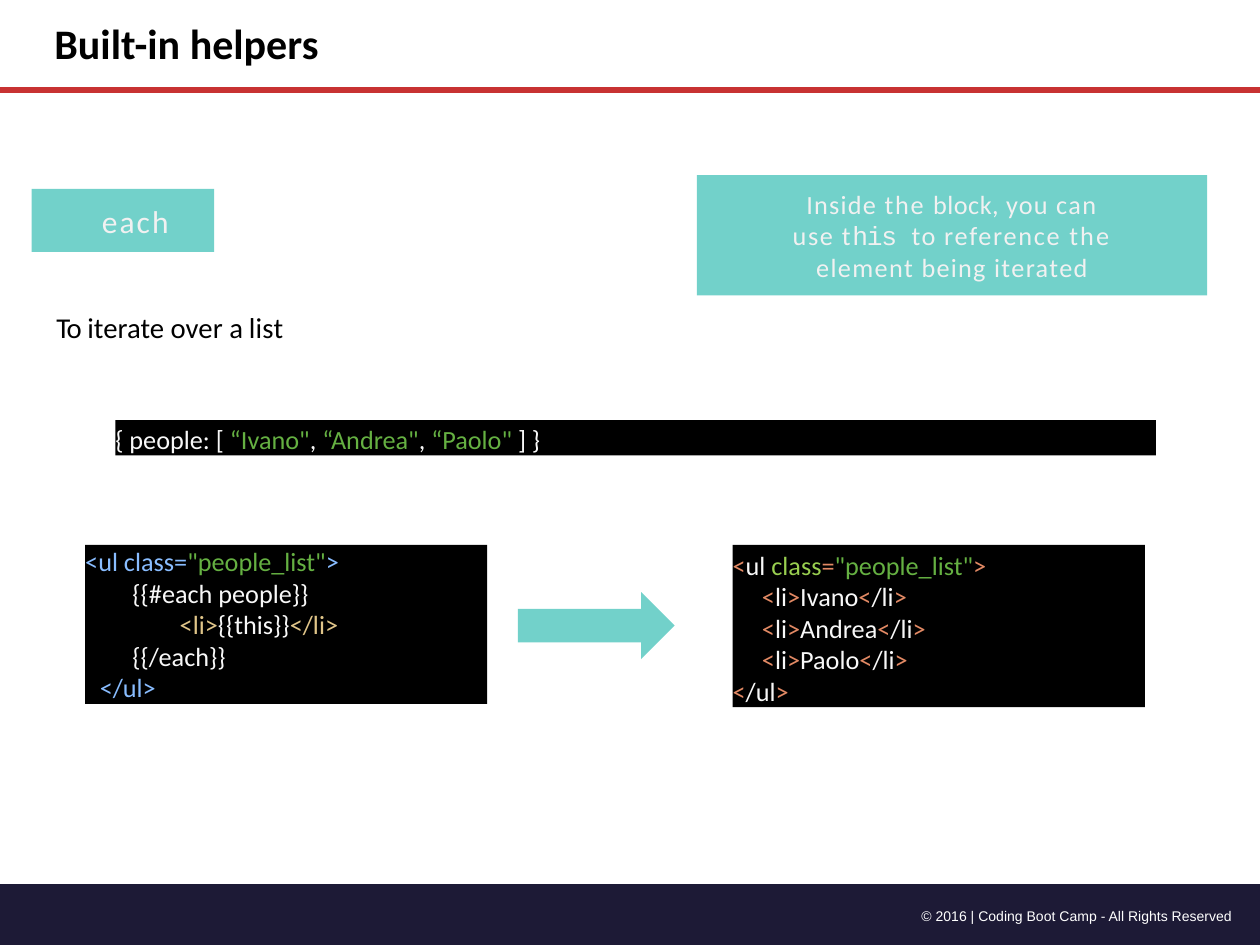
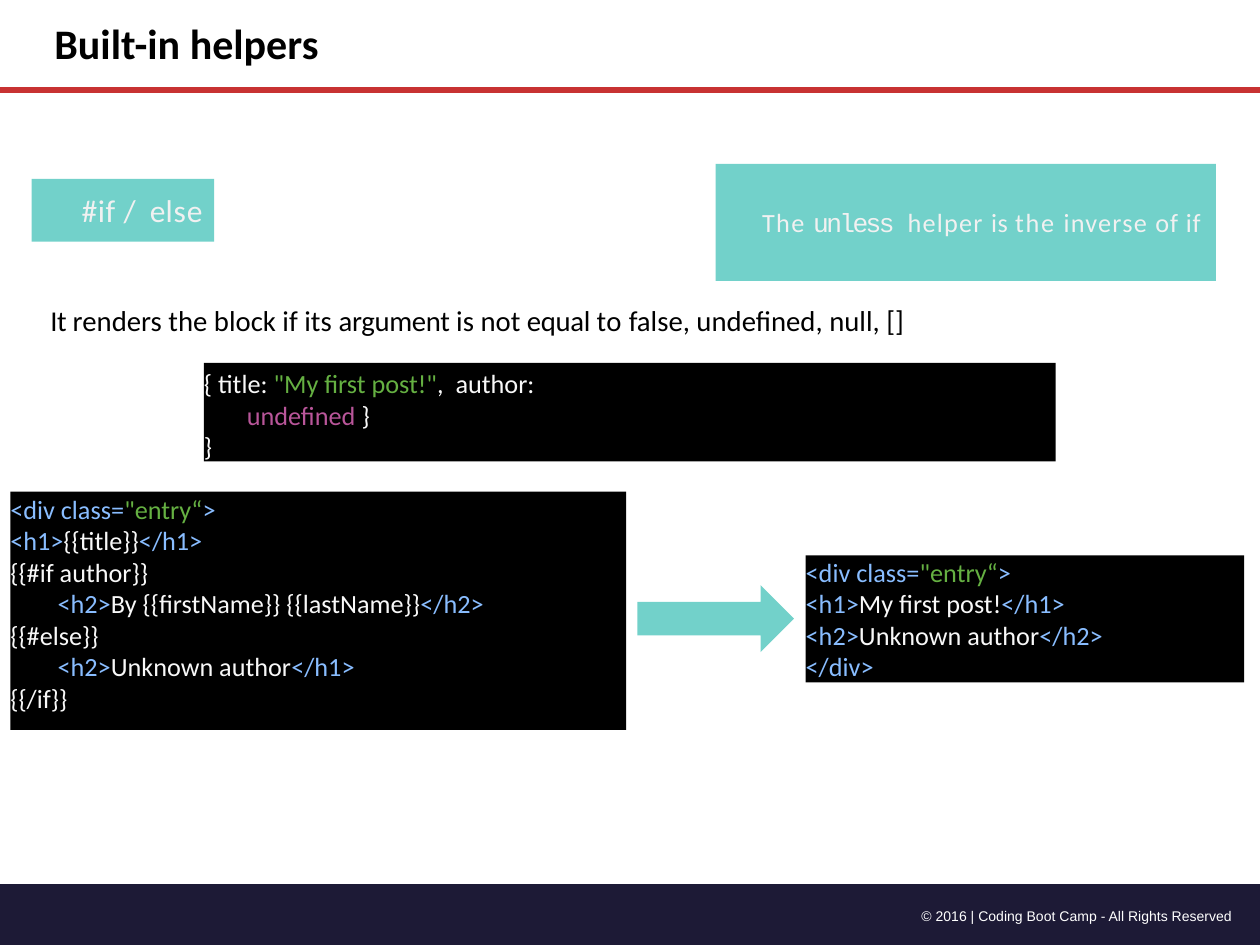
from dataclasses import dataclass
from typing import NamedTuple

from lxml.etree import SubElement
from pptx import Presentation
from pptx.dml.color import RGBColor
from pptx.enum.shapes import MSO_CONNECTOR as Connector, MSO_SHAPE as Preset
from pptx.enum.text import MSO_ANCHOR as Anchor, PP_ALIGN as Align
from pptx.oxml.ns import qn
from pptx.util import Pt

COLORS = {
    "black": "000000",
    "white": "FFFFFF",
    "navy": "1D1A36",
    "red": "C83232",
    "teal": "72D1CA",
    "pale": "F1F1F1",
    "plain": "F8F8F8",
    "blue": "89BDFF",
    "green": "65B042",
    "gold": "E0C589",
    "orange": "E28964",
    "lime": "99CF50",
    "purple": "B9569A",
}
WIDTH, HEIGHT = 720, 540
BAND_TOP = 505.4
RULE_TOP = 51.6
CODE_LEADING = 18
INSET = 7.2
MONO = "Courier New"


class Area(NamedTuple):
    left: float
    top: float
    width: float
    height: float

    def lengths(self) -> list:
        return [Pt(value) for value in self]


class Span(NamedTuple):
    text: str
    color: str = "plain"
    spacing: float = 0
    font: str = "Calibri"


@dataclass
class Line:
    spans: list[Span]
    indent: float = 0
    right_indent: float = 0
    align: Align = Align.LEFT
    leading: float | None = None


@dataclass
class Code:
    """A black panel with highlighted lines that start `drop` below its top."""
    panel: Area
    lines: list[Line]
    drop: float = 0


@dataclass
class Helper:
    badge: Area
    badge_line: Line
    note: Area
    note_line: Line
    summary: Area
    summary_line: Line
    arrow: Area
    blocks: list[Code]


def color(name: str) -> RGBColor:
    return RGBColor.from_string(COLORS[name])


def spaced(shade: str, *pieces: tuple) -> list[Span]:
    """Spans of one colour, each given as text, letter spacing and maybe a font."""
    return [Span(text, shade, *rest) for text, *rest in pieces]


def code(*pieces: tuple, indent: float = 0) -> Line:
    return Line([Span(*piece) for piece in pieces], indent, leading=CODE_LEADING)


def output_tag(name: str) -> list[tuple]:
    return [("<", "orange"), (name,), (">", "orange")]


def list_item(person: str) -> Line:
    return code(*output_tag("li"), (person,), *output_tag("/li"), indent=16.8)


def element(tag: str, content: str, closing: str, indent: float = 0) -> Line:
    return code((f"<{tag}>", "blue"), (content,), (f"</{closing}>", "blue"), indent=indent)


def write(shape, lines: list[Line], size: float, left_inset: float = 0,
          right_inset: float = 0, anchor: Anchor = Anchor.TOP, bold: bool = False) -> None:
    frame = shape.text_frame
    frame.word_wrap = True
    frame.vertical_anchor = anchor
    frame.margin_left, frame.margin_right = Pt(left_inset), Pt(right_inset)
    frame.margin_top = frame.margin_bottom = Pt(0)
    for number, line in enumerate(lines):
        para = frame.add_paragraph() if number else frame.paragraphs[0]
        para.alignment = line.align
        if line.leading:
            para.line_spacing = Pt(line.leading)
        properties = para._p.get_or_add_pPr()
        properties.set("marL", str(Pt(line.indent)))
        properties.set("marR", str(Pt(line.right_indent)))
        properties.set("indent", "0")
        for span in line.spans:
            run = para.add_run()
            run.text = span.text
            run.font.name = span.font
            run.font.size = Pt(size)
            run.font.bold = bold
            run.font.color.rgb = color(span.color)
            if span.spacing:
                run._r.get_or_add_rPr().set("spc", str(round(span.spacing * 100)))


def add_block(page, preset: Preset, area: Area, fill: str):
    shape = page.shapes.add_shape(preset, *area.lengths())
    shape.shadow.inherit = False
    shape.fill.solid()
    shape.fill.fore_color.rgb = color(fill)
    shape.line.fill.background()
    return shape


def add_text(page, area: Area, lines: list[Line], size: float, **options) -> None:
    write(page.shapes.add_textbox(*area.lengths()), lines, size, **options)


def add_label(page, area: Area, line: Line, size: float) -> None:
    write(add_block(page, Preset.RECTANGLE, area, "teal"), [line], size,
          left_inset=INSET, anchor=Anchor.MIDDLE)


def add_code(page, block: Code) -> None:
    left, top, width, _ = block.panel
    add_block(page, Preset.RECTANGLE, block.panel, "black")
    text_area = Area(left, top + block.drop, width, len(block.lines) * CODE_LEADING)
    add_text(page, text_area, block.lines, 15)


def add_frame(page, title: str) -> None:
    """Draw what every slide shares: footer band, red rule and title."""
    band = Area(0, BAND_TOP, WIDTH, HEIGHT - BAND_TOP)
    add_block(page, Preset.FLOWCHART_PROCESS, band, "navy")
    credit = Span("© 2016 | Coding Boot Camp - All Rights Reserved", "white", 0, "Arial")
    add_text(page, Area(491.8, 514.8, 219.6, 17.3), [Line([credit], align=Align.RIGHT)],
             8, right_inset=INSET, anchor=Anchor.MIDDLE)
    rule = page.shapes.add_connector(
        Connector.STRAIGHT, Pt(0), Pt(RULE_TOP), Pt(WIDTH), Pt(RULE_TOP))
    rule.line.color.rgb = color("red")
    rule.line.width = Pt(3.25)
    SubElement(rule._element.spPr, qn("a:effectLst"))
    add_text(page, Area(24, 0, 430.6, 48.4), [Line([Span(title, "black")])],
             24, left_inset=INSET, anchor=Anchor.MIDDLE, bold=True)


def add_helper(page, helper: Helper) -> None:
    add_frame(page, "Built-in helpers")
    add_label(page, helper.badge, helper.badge_line, 18)
    add_label(page, helper.note, helper.note_line, 15)
    add_text(page, helper.summary, [helper.summary_line], 16.4)
    add_block(page, Preset.RIGHT_ARROW, helper.arrow, "teal")
    for block in helper.blocks:
        add_code(page, block)


ENTRY_OPENING = code(("<div class=", "blue"), ("\"entry“", "green"), (">", "blue"))

EACH = Helper(
    badge=Area(18, 108, 104.4, 36),
    badge_line=Line(spaced("pale", ("each", 1.2)), indent=33.1),
    note=Area(398.2, 100, 291.6, 68.8),
    note_line=Line(
        spaced("pale", ("Inside ", 0.7), ("the ", 1), ("block, ", 0.3), ("you ", 0.7),
               ("can ", 0.8), ("use t", 0.9), ("his ", -0.7, MONO), ("to ", 0.8),
               ("reference ", 1), ("the ", 1.2), ("element ", 0.8), ("being ", 0.7),
               ("iterated", 0.8)),
        indent=46.8, right_indent=54, align=Align.CENTER),
    summary=Area(32.2, 177.1, 150, 20),
    summary_line=Line(spaced("black", ("To ", -0.6), ("iterate over ",), ("a ", -0.4),
                             ("list", 0.1))),
    arrow=Area(296, 338.4, 89.5, 38.2),
    blocks=[
        Code(Area(65.9, 240, 594.7, 20.2), [
            code(("{ people: [ ",), ("“Ivano\"", "green"), (", ",), ("“Andrea\"", "green"),
                 (", ",), ("“Paolo\" ", "green"), ("] }",)),
        ], drop=1.8),
        Code(Area(48.7, 311.4, 229.7, 90.9), [
            code(("<ul class=", "blue"), ("\"people_list\"", "green"), (">", "blue")),
            code(("{{#each people}}",), indent=27),
            code(("<li>", "gold"), ("{{this}}",), ("</li>", "gold"), indent=54),
            code(("{{/each}}",), indent=27),
            code(("</ul>", "blue"), indent=8.3),
        ], drop=0.4),
        Code(Area(418.6, 311.4, 235.6, 92.7), [
            code(("<", "orange"), ("ul ",), ("class", "lime"), ("=", "orange"),
                 ("\"people_list\"", "green"), (">", "orange")),
            *[list_item(person) for person in ("Ivano", "Andrea", "Paolo")],
            code(*output_tag("/ul")),
        ], drop=2.2),
    ],
)

IF_ELSE = Helper(
    badge=Area(18, 102.2, 104.4, 36),
    badge_line=Line(spaced("pale", ("#if ", 0.3), ("/ ", 2), ("e", -1), ("lse", 0.5)),
                    indent=21.6),
    note=Area(409, 93.6, 285.8, 66.9),
    note_line=Line(
        spaced("pale", ("The ", 0.8), ("unless ", -1.5, MONO), ("helper ", 0.7),
               ("is ", 0.3), ("the ", 1), ("inverse ", 0.7), ("of ", 0.5), ("if", 0.4)),
        indent=19.4),
    summary=Area(28.8, 172.8, 580, 20),
    summary_line=Line(
        spaced("black", ("It ", -0.3), ("renders the block if its ",), ("argument ", -0.2),
               ("is not ",), ("equal ", -0.2), ("to ", 0.2),
               ("false, undefined, null, []",))),
    arrow=Area(364.2, 334.4, 89.5, 38.2),
    blocks=[
        Code(Area(116.6, 207.4, 486.7, 56.2), [
            code(("{ title: ",), ("\"My first post!\"", "green"), (",  author: ",)),
            code(("undefined ", "purple"), ("}",), indent=24.5),
            code(("}",)),
        ], drop=2.6),
        Code(Area(5.9, 280.9, 352, 136.2), [
            ENTRY_OPENING,
            element("h1", "{{title}}", "h1"),
            code(("{{#if author}}",)),
            element("h2", "By {{firstName}} {{lastName}}", "h2", indent=27),
            code(("{{#else}}",)),
            element("h2", "Unknown author", "h1", indent=27),
            code(("{{/if}}",)),
        ], drop=0.8),
        Code(Area(460.4, 317.3, 250.5, 72.7), [
            ENTRY_OPENING,
            element("h1", "My first post!", "h1"),
            element("h2", "Unknown author", "h2"),
            code(("</div>", "blue")),
        ], drop=0.4),
    ],
)


def main() -> None:
    deck = Presentation()
    deck.slide_width, deck.slide_height = Pt(WIDTH), Pt(HEIGHT)
    for helper in (EACH, IF_ELSE):
        add_helper(deck.slides.add_slide(deck.slide_layouts[6]), helper)
    deck.save("out.pptx")


if __name__ == "__main__":
    main()
